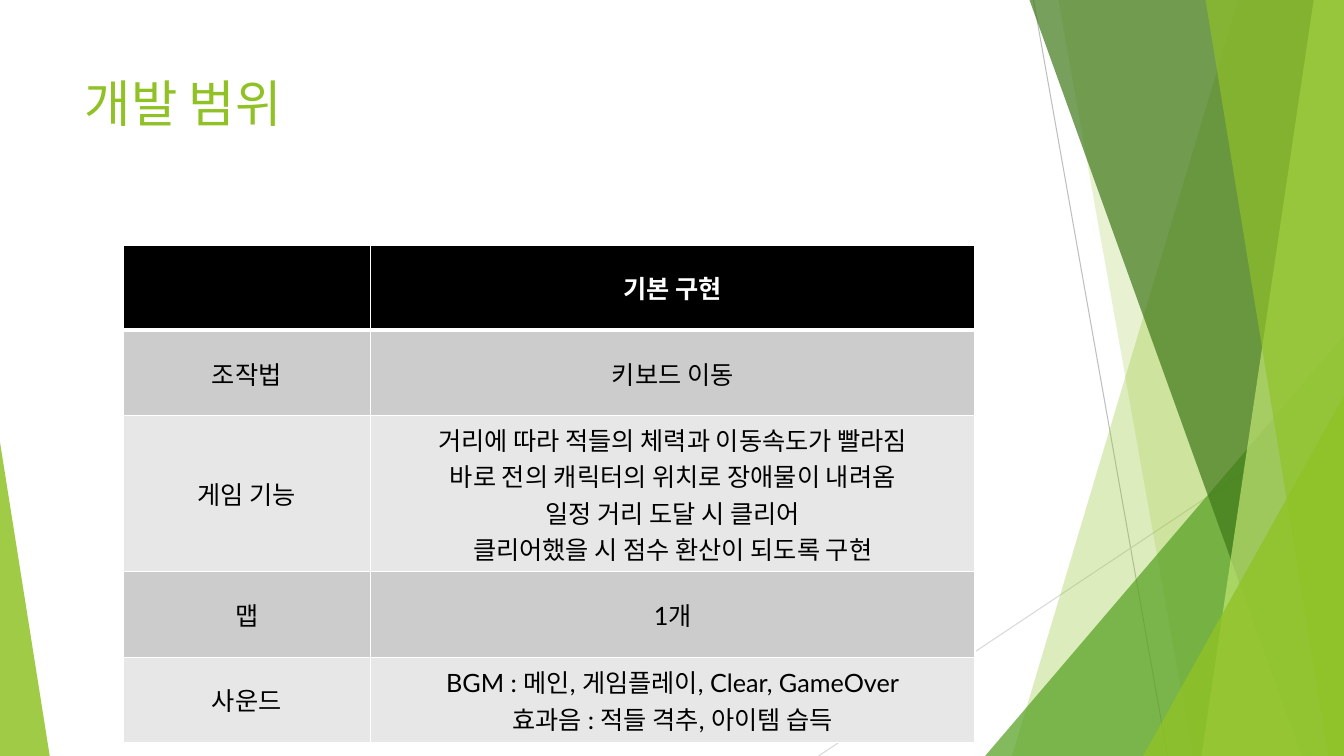
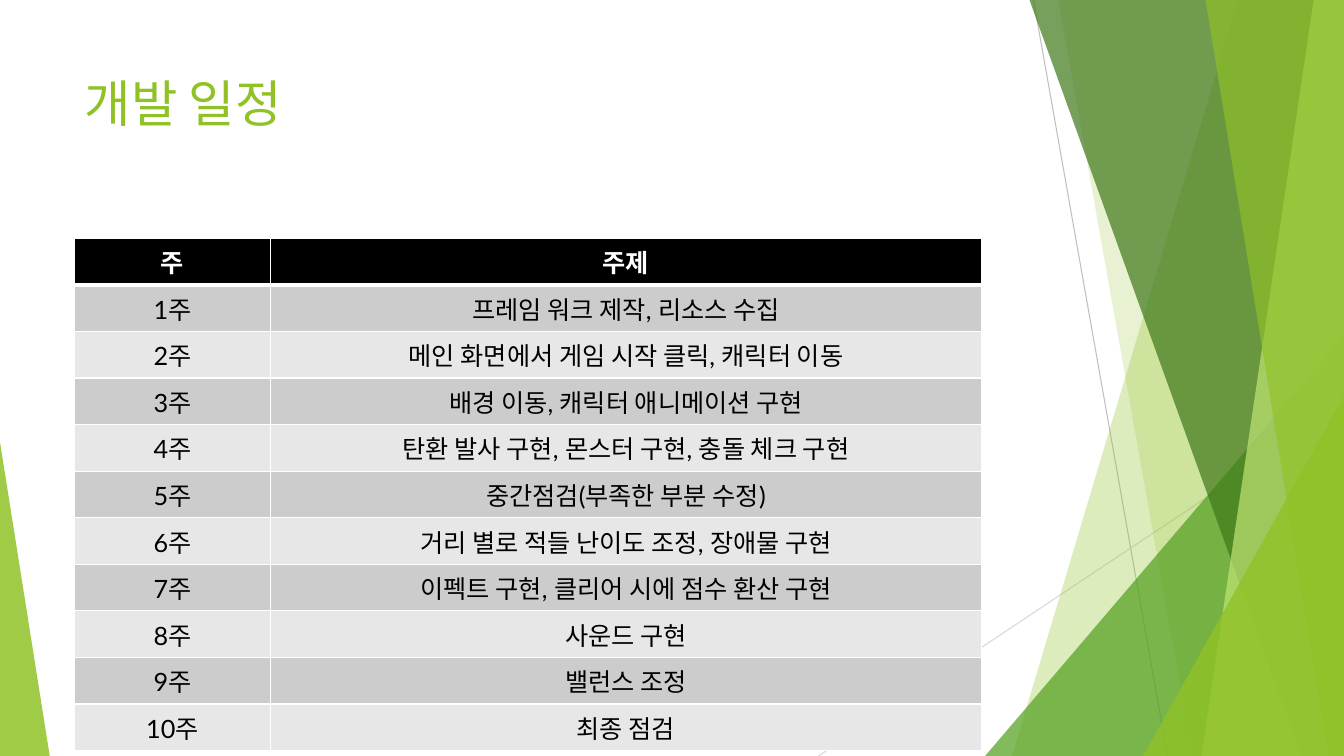
import pptx
import pptx.dml.color
import pptx.enum.shapes
import pptx.enum.text
import pptx.oxml
import pptx.oxml.ns
import pptx.util
import lxml.etree

rgb = pptx.dml.color.RGBColor.from_string
qn = pptx.oxml.ns.qn
Pt = pptx.util.Pt
align = pptx.enum.text.PP_ALIGN
anchor = pptx.enum.text.MSO_ANCHOR

theme = {
    "lime": "90C226", "pale": "C0E474", "leaf": "54A021", "forest": "3F7819",
    "upright": "BFBFBF", "slant": "D9D9D9", "rule": "FFFFFF", "rows": ("E7E7E7", "CCCCCC"),
    "header": "000000", "hairline": Pt(0.75), "thin": Pt(1), "thick": Pt(3),
    "title_font": {"name": "Lato", "size": Pt(36), "bold": False},
    "head_font": {"name": "Lato", "size": Pt(18), "bold": True},
    "body_font": {"name": "Lato", "size": Pt(18), "bold": False},
    "head_text": "FFFFFF", "body_text": "000000",
}

deck = pptx.Presentation()
deck.slide_width, deck.slide_height = pptx.util.Inches(13.333), pptx.util.Inches(7.5)


def place(*shares):
    sides = (deck.slide_width, deck.slide_height)
    return [round(sides[i % 2] * share / 100) for i, share in enumerate(shares)]


def apply_format(target, values, color=None):
    for attribute, value in values.items():
        setattr(target, attribute, value)
    if color:
        target.color.rgb = rgb(color)


title_only = deck.slide_layouts[5]

topics = [
    {
        "title": "개발 범위", "corner": (9.15, 32.4), "columns": (18.4, 45), "row": 11.3,
        "rows": [
            ("", "기본 구현"),
            ("조작법", "키보드 이동"),
            ("게임 기능", "거리에 따라 적들의 체력과 이동속도가 빨라짐\n"
                      "바로 전의 캐릭터의 위치로 장애물이 내려옴\n"
                      "일정 거리 도달 시 클리어\n"
                      "클리어했을 시 점수 환산이 되도록 구현"),
            ("맵", "1개"),
            ("사운드", "BGM : 메인, 게임플레이, Clear, GameOver\n"
                    "효과음 : 적들 격추, 아이템 습득"),
        ],
    },
    {
        "title": "개발 일정", "corner": (5.55, 31.5), "columns": (14.55, 52.95), "row": 5.4,
        "rows": [("주", "주제")] + [(f"{week}주", task) for week, task in enumerate((
            "프레임 워크 제작, 리소스 수집",
            "메인 화면에서 게임 시작 클릭, 캐릭터 이동",
            "배경 이동, 캐릭터 애니메이션 구현",
            "탄환 발사 구현, 몬스터 구현, 충돌 체크 구현",
            "중간점검(부족한 부분 수정)",
            "거리 별로 적들 난이도 조정, 장애물 구현",
            "이펙트 구현, 클리어 시에 점수 환산 구현",
            "사운드 구현",
            "밸런스 조정",
            "최종 점검",
        ), start=1)],
    },
]

rays = [
    ((76.9, 0, 86.87, 100), "upright"),
    ((100, 53.7, 60.9, 100), "slant"),
]
shards = [
    ("band", (92.12, 75.3), "lime", 30),
    ("band", (78.75, 88.75), "lime", 20),
    ("peak", (73.3, 44.4, 26.7, 55.6, 1), "leaf", 72),
    ("band", (76.6, 96.85), "forest", 70),
    ("band", (97.75, 89.4), "pale", 70),
    ("band", (89.7, 98.85), "lime", 65),
    ("peak", (85.05, 52.4, 14.95, 47.6, 1), "lime", 80),
    ("peak", (0, 58.5, 3.7, 41.5, 0), "lime", 85),
]

slides = [deck.slides.add_slide(title_only) for topic in topics]
canvas = slides[0].shapes
backdrop = []

for ends, tone in rays:
    ray = canvas.add_connector(pptx.enum.shapes.MSO_CONNECTOR.STRAIGHT, *place(*ends))
    apply_format(ray.line, {"width": theme["hairline"]}, theme[tone])
    lxml.etree.SubElement(ray._element.spPr, qn("a:effectLst"))
    backdrop.append(ray)

for kind, geometry, tone, opacity in shards:
    if kind == "band":
        top, bottom = geometry
        outline = canvas.build_freeform(*place(top, 0))
        outline.add_line_segments([place(100, 0), place(100, 100), place(bottom, 100)])
        shard = outline.convert_to_shape()
    else:
        shard = canvas.add_shape(pptx.enum.shapes.MSO_SHAPE.ISOSCELES_TRIANGLE, *place(*geometry[:4]))
        shard.adjustments[0] = geometry[4]
    shard.fill.solid()
    shard.fill.fore_color.rgb = rgb(theme[tone])
    shard.line.fill.background()
    shard.shadow.inherit = False
    tint = shard._element.spPr.find(qn("a:solidFill"))[0]
    lxml.etree.SubElement(tint, qn("a:alpha"), val=str(opacity * 1000))
    backdrop.append(shard)

for part in backdrop:
    title_only.shapes._spTree.append(part._element)

for slide, topic in zip(slides, topics):
    heading = slide.shapes.title
    apply_format(heading, dict(zip(("left", "top", "width", "height"), place(5.55, 8.9, 70.5, 19.2))))
    heading.text_frame.text = topic["title"]
    apply_format(heading.text_frame, {
        "vertical_anchor": anchor.TOP, "word_wrap": True,
        "auto_size": pptx.enum.text.MSO_AUTO_SIZE.NONE,
    })
    heading.text_frame.paragraphs[0].alignment = align.LEFT
    apply_format(heading.text_frame.paragraphs[0].runs[0].font, theme["title_font"], theme["lime"])

    rows = topic["rows"]
    size = place(sum(topic["columns"]), topic["row"] * len(rows))
    plan = slide.shapes.add_table(len(rows), 2, *place(*topic["corner"]), *size).table
    for column, share in zip(plan.columns, topic["columns"]):
        column.width = place(share)[0]

    for r, entries in enumerate(rows):
        style = "head" if r == 0 else "body"
        for c, words in enumerate(entries):
            cell = plan.cell(r, c)
            cell.text = words
            cell.vertical_anchor = anchor.MIDDLE
            cell.fill.solid()
            cell.fill.fore_color.rgb = rgb(theme["rows"][r % 2] if r else theme["header"])
            for paragraph in cell.text_frame.paragraphs:
                paragraph.alignment = align.CENTER
                apply_format(paragraph.font, theme[f"{style}_font"], theme[f"{style}_text"])
                for run in paragraph.runs:
                    apply_format(run.font, theme[f"{style}_font"], theme[f"{style}_text"])
            for position, side in enumerate("LRTB"):
                heavy = (r, side) in ((0, "B"), (1, "T"))
                edge = lxml.etree.Element(qn(f"a:ln{side}"), w=str(int(theme["thick" if heavy else "thin"])))
                ink = lxml.etree.SubElement(edge, qn("a:solidFill"))
                lxml.etree.SubElement(ink, qn("a:srgbClr"), val=theme["rule"])
                cell._tc.get_or_add_tcPr().insert(position, edge)

deck.save("out.pptx")
